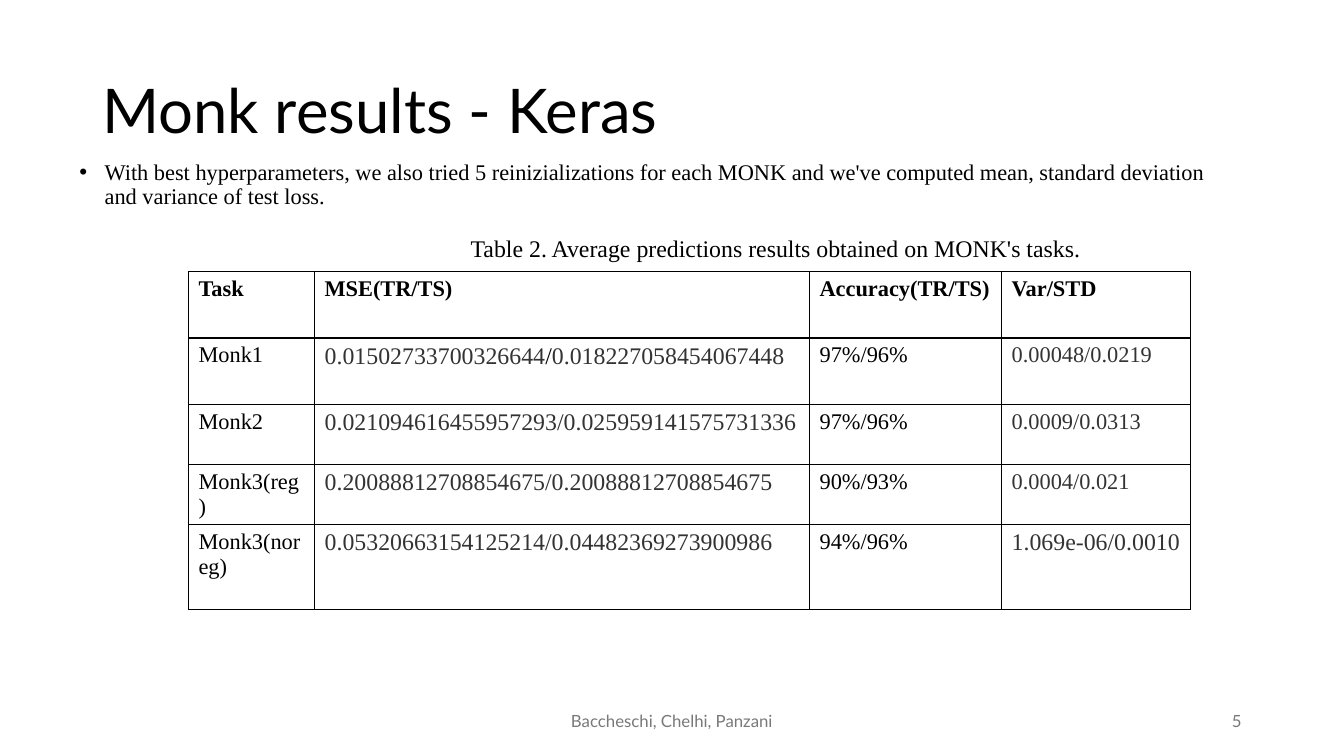
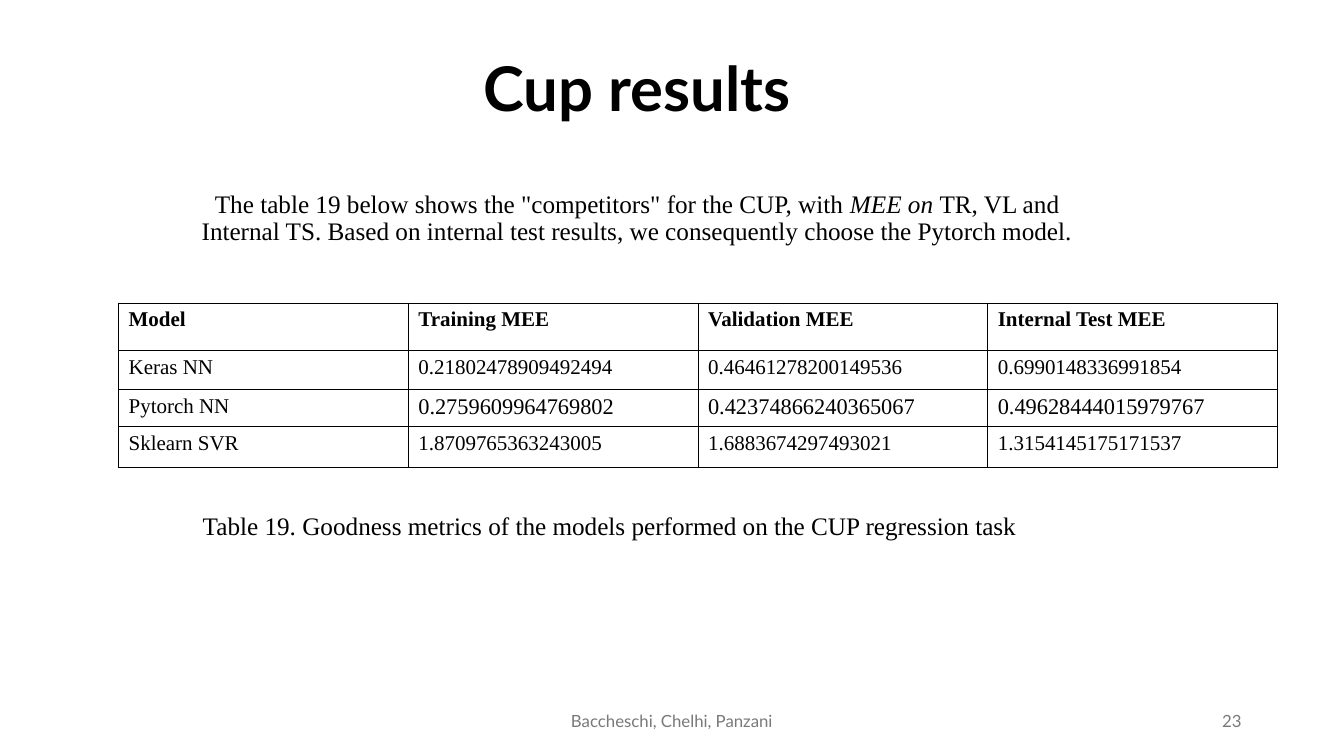
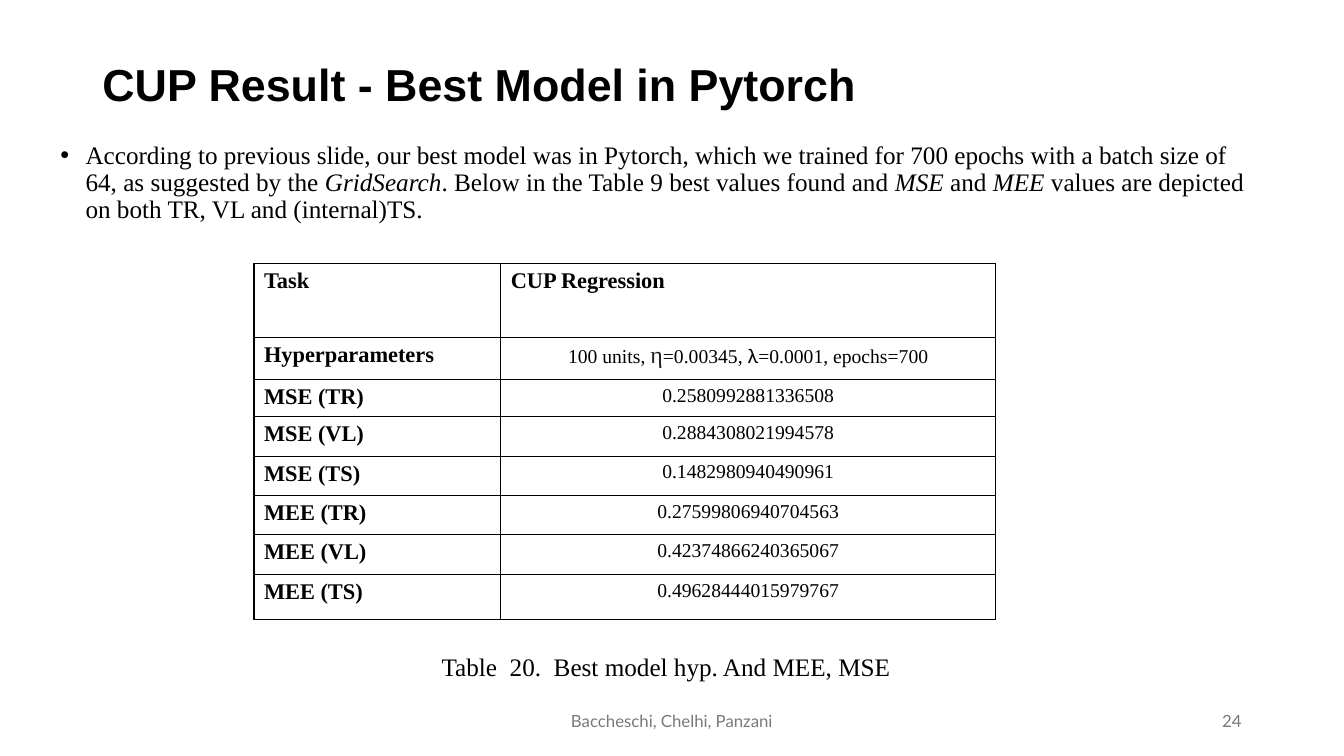
"""Build three result slides: Monk tasks, Cup models and the best Cup model."""
from lxml import etree
from pptx import Presentation
from pptx import util as u
from pptx.dml import color as dml
from pptx.enum import text as t
from pptx.oxml import ns

deck = Presentation()
deck.slide_width, deck.slide_height = u.Inches(40 / 3), u.Inches(7.5)
COLUMN, ROW = deck.slide_width / 100, deck.slide_height / 100

SERIF, SANS = "Times New Roman", "Lato"
BLACK, CHARCOAL, INK, GREY = "000000", "333333", "202122", "797979"
CENTER, RIGHT = t.PP_ALIGN.CENTER, t.PP_ALIGN.RIGHT
MIDDLE, TOP = t.MSO_ANCHOR.MIDDLE, t.MSO_ANCHOR.TOP
ITALIC = {"italic": True}
TITLE = {"font": SANS, "size": 44, "spacing": 0.9}
FOOTER = {"font": SANS, "size": 12, "color": GREY}
AUTHORS = "Baccheschi, Chelhi, Panzani"


def write(frame, text, size=16, font=SERIF, color=BLACK, bold=False, italic=False,
          align=None, spacing=None, bullet=False):
    """Append a formatted run to the last paragraph of a text frame."""
    paragraph = frame.paragraphs[-1]
    paragraph.alignment, paragraph.line_spacing = align, spacing
    properties = paragraph._p.get_or_add_pPr()
    if bullet and properties.find(ns.qn("a:buChar")) is None:
        properties.set("marL", str(u.Inches(0.25)))
        properties.set("indent", str(u.Inches(-0.25)))
        etree.SubElement(properties, ns.qn("a:buFont")).set("typeface", "Arial")
        etree.SubElement(properties, ns.qn("a:buChar")).set("char", "•")
    run = paragraph.add_run()
    run.text = text
    run.font.size, run.font.name = u.Pt(size), font
    run.font.bold, run.font.italic = bold, italic
    run.font.color.rgb = dml.RGBColor.from_string(color)


def place(slide, area, runs, anchor=TOP, **style):
    """Add a text box on the grid; runs are (text, overrides) pairs or one string."""
    left, top, width, height = area
    frame = slide.shapes.add_textbox(int(left * COLUMN), int(top * ROW),
                                     int(width * COLUMN), int(height * ROW)).text_frame
    frame.word_wrap, frame.vertical_anchor = True, anchor
    for words, extra in [(runs, {})] if isinstance(runs, str) else runs:
        write(frame, words, **{**style, **extra})


pages = [
    {
        "number": "5",
        "title": ("Monk results - Keras", (6.88, 5.33, 86.25, 19.33), {}),
        "intro": ("With best hyperparameters, we also tried 5 reinizializations for each MONK "
                  "and we've computed mean, standard deviation and variance of test loss.",
                  (5.18, 20.67, 86.25, 9), {"bullet": True}),
        "caption": ("Table 2. Average predictions results obtained on MONK's tasks.",
                    (34.28, 30.15, 48, 5.33), {"size": 17, "anchor": MIDDLE}),
        "corner": (14.03, 35.9),
        "widths": [9.38, 36.83, 14.29, 14.06],
        "heights": [8.8, 8.8, 7.95, 7.95, 11.2],
        "border": 1,
        "header": {"size": 16, "bold": True},
        "styles": [{}, {"size": 17, "color": CHARCOAL}, {}, {"color": CHARCOAL}],
        "cells": [
            ["Task", "MSE(TR/TS)", "Accuracy(TR/TS)", "Var/STD"],
            ["Monk1", [("0.01502733700326644", {}), ("/", {"color": BLACK}),
                       ("0.018227058454067448", {})], "97%/96%", "0.00048/0.0219"],
            ["Monk2", "0.021094616455957293/0.025959141575731336", "97%/96%", "0.0009/0.0313"],
            ["Monk3(reg)", "0.20088812708854675/0.20088812708854675", "90%/93%", "0.0004/0.021"],
            ["Monk3(noreg)", "0.05320663154125214/0.04482369273900986", "94%/96%",
             [("1.069e-06/0.0010", {"size": 17})]],
        ],
    },
    {
        "number": "23",
        "title": ("Cup results", (1.7, 5.33, 91.4, 13.6), {"bold": True, "align": CENTER}),
        "intro": ([('The table 19 below shows the "competitors" for the CUP, with ', {}),
                   ("MEE on ", ITALIC),
                   ("TR, VL and Internal TS. Based on internal test results, we "
                    "consequently choose the Pytorch model.", {})],
                  (13.3, 24.05, 68.2, 9.73),
                  {"size": 18, "align": CENTER, "anchor": MIDDLE}),
        "caption": ("Table 19. Goodness metrics of the models performed on the CUP "
                    "regression task", (14.35, 66.85, 75.92, 5.33), {"size": 18}),
        "corner": (8.82, 40.1),
        "widths": [21.56] * 4,
        "heights": [6.25, 5.17, 4.93, 5.38],
        "border": 0.75,
        "header": {"size": 15, "bold": True},
        "styles": [{"size": 15}] * 4,
        "cells": [
            ["Model", "Training MEE", "Validation MEE", "Internal Test MEE"],
            ["Keras NN", "0.21802478909492494", "0.46461278200149536", "0.6990148336991854"],
            ["Pytorch NN"] + [[(mee, {"size": 16})] for mee in (
                "0.2759609964769802", "0.42374866240365067", "0.49628444015979767")],
            ["Sklearn SVR", "1.8709765363243005", "1.6883674297493021", "1.3154145175171537"],
        ],
    },
    {
        "number": "24",
        "title": ("CUP Result - Best Model in Pytorch", (6.88, 5.33, 86.25, 12.4),
                  {"size": 32, "font": "Arial", "bold": True}),
        "intro": ([("According to previous slide, our best model was in Pytorch, which we trained "
                    "for 700 epochs with a batch size of 64, as suggested by the ", {}),
                   ("GridSearch", ITALIC),
                   (". Below in the Table 9 best values found and ", {}),
                   ("MSE ", ITALIC), ("and ", {}), ("MEE ", ITALIC),
                   ("values are depicted on both TR, VL and (internal)TS.", {})],
                  (3.75, 18.2, 90.25, 14), {"size": 18, "bullet": True}),
        "caption": ("Table  20.  Best model hyp. And MEE, MSE",
                    (32.12, 85.5, 36, 5.33), {"size": 18}),
        "corner": (18.9, 34.88),
        "widths": [18.36, 36.83],
        "heights": [9.73, 5.6, 4.95, 5.2, 5.2, 5.2, 5.3, 5.87],
        "border": 0.9,
        "header": {"size": 16, "bold": True},
        "styles": [{"bold": True}, {"size": 14, "align": CENTER}],
        "cells": [
            ["Task", "CUP Regression"],
            ["Hyperparameters", [("100 units, ", {}), ("η", {"size": 17, "color": INK}),
                                 ("=0.00345, ", {}), ("λ", {"font": SANS}),
                                 ("=0.0001, epochs=700", {})]],
            ["MSE (TR)", "0.2580992881336508"],
            ["MSE (VL)", "0.2884308021994578"],
            ["MSE (TS)", "0.1482980940490961"],
            ["MEE (TR)", "0.27599806940704563"],
            ["MEE (VL)", "0.42374866240365067"],
            ["MEE (TS)", "0.49628444015979767"],
        ],
    },
]

for page in pages:
    slide = deck.slides.add_slide(deck.slide_layouts[6])
    title, area, style = page["title"]
    place(slide, area, title, MIDDLE, **{**TITLE, **style})
    intro, area, style = page["intro"]
    place(slide, area, intro, spacing=0.9, **style)
    caption, area, style = page["caption"]
    place(slide, area, caption, **style)
    place(slide, (33.12, 92.67, 33.75, 5.33), AUTHORS, MIDDLE, align=CENTER, **FOOTER)
    place(slide, (70.62, 92.67, 22.5, 5.33), page["number"], MIDDLE, align=RIGHT, **FOOTER)

    widths, heights = page["widths"], page["heights"]
    left, top = page["corner"]
    results = slide.shapes.add_table(
        len(heights), len(widths), int(left * COLUMN), int(top * ROW),
        int(sum(widths) * COLUMN), int(sum(heights) * ROW)).table
    results.first_row = results.horz_banding = False
    for column, width in zip(results.columns, widths):
        column.width = int(width * COLUMN)
    for row, height in zip(results.rows, heights):
        row.height = int(height * ROW)

    for r, values in enumerate(page["cells"]):
        for c, value in enumerate(values):
            cell = results.cell(r, c)
            cell.margin_bottom = 0
            style = page["styles"][c] if r else page["header"]
            for words, extra in [(value, {})] if isinstance(value, str) else value:
                write(cell.text_frame, words, **{**style, **extra})
            cell.fill.background()
            for position, side in enumerate("LRTB"):
                edge = etree.Element(ns.qn(f"a:ln{side}"), w=str(u.Pt(page["border"])))
                ink = etree.SubElement(edge, ns.qn("a:solidFill"))
                etree.SubElement(ink, ns.qn("a:srgbClr"), val=BLACK)
                cell._tc.get_or_add_tcPr().insert(position, edge)

deck.save("out.pptx")
